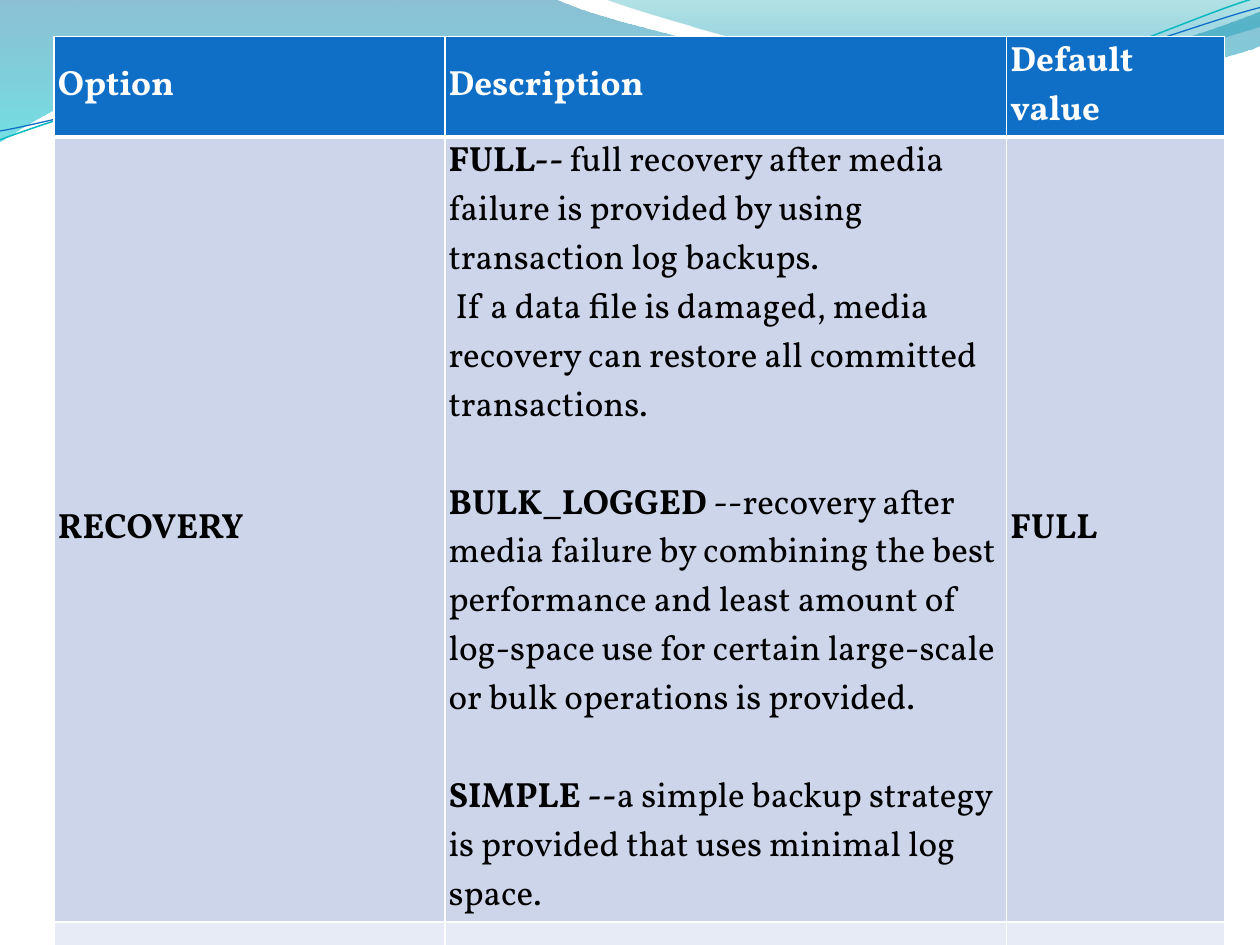
from lxml import etree
from pptx import Presentation
from pptx.dml.color import RGBColor
from pptx.enum.text import MSO_ANCHOR as Anchor
from pptx.oxml.ns import qn
from pptx.util import Inches, Pt

FONT = "Vollkorn"
BLUE, PALE, LIGHT = "0F6FC6", "CCD5EA", "E7EBF5"
WHITE, BLACK = "FFFFFF", "000000"

# Each outline is a list of parts: one point is a line, three are a curve.
BAND = [[(0, 0)], [(4.4, -0.01)],
        [(4.76, 0.17), (6.64, 0.63), (7.58, 0.63)],
        [(8.53, 0.63), (9.58, 0.26), (10, 0.09)], [(10.01, 0.36)],
        [(9.83, 0.44), (8.7, 0.76), (7.46, 0.75)],
        [(6.22, 0.75), (3.82, 0.28), (2.57, 0.34)],
        [(1.29, 0.36), (0.46, 0.83), (-0.01, 1.13)], [(0, 0)]]
CREST = [[(4.79, -0.01)], [(5.09, 0.11), (6.82, 0.62), (7.69, 0.65)],
         [(8.56, 0.69), (9.61, 0.32), (10, 0.21)], [(10, 0)], [(4.79, -0.01)]]
TEAL_LINE = [[(0, 1.11)], [(0.48, 0.93), (1.58, 0.57), (2.77, 0.52)],
             [(3.95, 0.47), (5.93, 0.89), (7.13, 0.8)],
             [(8.33, 0.71), (9.38, 0.15), (9.98, -0.02)]]
BLUE_LINE = [[(0, 1.04)], [(0.47, 0.96), (1.64, 0.61), (2.83, 0.56)],
             [(4.03, 0.51), (5.97, 0.84), (7.17, 0.75)],
             [(8.36, 0.67), (9.41, 0.21), (10, 0.06)]]

# A cell is a list of paragraphs: (space before, [(text, bold), ...]).
HEAD = [[(0, [(name, True)])] for name in ("Option", "Description", "Default value")]
MODES = [
    (0, [("FULL-- ", True),
         ("full recovery after media failure is provided by using "
          "transaction log backups.", False)]),
    (0, [(" If a data file is damaged, media recovery can restore all "
          "committed transactions.", False)]),
    (28, [("BULK_LOGGED", True),
          (" --recovery after media failure by combining the best performance "
           "and least amount of log-space use for certain large-scale or bulk "
           "operations is provided.", False)]),
    (28, [("SIMPLE --", True),
          ("a simple backup strategy is provided that uses minimal log space.",
           False)]),
]
BODY = [[(0, [("RECOVERY", True)])], MODES, [(0, [("FULL", True)])]]
# Row: height, fill, text colour, cells
ROWS = [(0.31, BLUE, WHITE, HEAD), (5.67, PALE, BLACK, BODY),
        (0.31, LIGHT, BLACK, [[], [], []])]
COLS = [3.1, 4.46, 1.73]
CELL = {"margin_left": Inches(0.03), "margin_right": Inches(0.03),
        "margin_top": Inches(0.01), "margin_bottom": Inches(0.01),
        "vertical_anchor": Anchor.MIDDLE}


def color(code):
    return RGBColor.from_string(code)


def assign(item, values):
    for name, value in values.items():
        setattr(item, name, value)


def bend(shape, outline):
    """Join each three straight segments of a curve into one cubic segment."""
    lines = iter(list(shape.element.iter(qn("a:lnTo"))))
    for part in outline[1:]:
        group = [next(lines) for _ in part]
        if len(part) == 3:
            curve = etree.Element(qn("a:cubicBezTo"))
            group[0].addprevious(curve)
            for line in group:
                curve.append(line[0])
                line.getparent().remove(line)


def draw(shapes, box, outline, closed):
    left, top = box
    points = [(Inches(left + x), Inches(top + y)) for part in outline for x, y in part]
    pen = shapes.build_freeform(*points[0])
    pen.add_line_segments(points[1:], close=closed)
    shape = pen.convert_to_shape()
    bend(shape, outline)
    shape.shadow.inherit = False
    return shape


def add_wave(shapes, box, outline, stops):
    """Stops are (position, colour, opacity in percent), from top to bottom."""
    shape = draw(shapes, box, outline, True)
    shape.line.fill.background()
    fill = shape.fill
    fill.gradient()
    fill.gradient_angle = 270
    for stop, (place, code, _) in zip(fill.gradient_stops, stops):
        stop.position = place
        stop.color.rgb = color(code)
    for tint, (*_, clear) in zip(shape.element.spPr.iter(qn("a:srgbClr")), stops):
        etree.SubElement(tint, qn("a:alpha"), val=str(clear * 1000))


def add_curve(shapes, box, outline, code, width):
    shape = draw(shapes, box, outline, False)
    shape.fill.background()
    shape.line.color.rgb = color(code)
    shape.line.width = Pt(width)


def add_banner(shapes, box):
    add_wave(shapes, box, BAND, [(0, "0074A1", 45), (1, "00C6CF", 55)])
    add_wave(shapes, box, CREST, [(0, "00A1A9", 30), (0.8, "008BBF", 45)])
    add_curve(shapes, box, TEAL_LINE, "0AB8BF", 0.85)
    add_curve(shapes, box, BLUE_LINE, BLUE, 0.75)


def set_edges(cell):
    props = cell._tc.get_or_add_tcPr()
    for side, width in (("L", 1), ("R", 1), ("T", 1), ("B", 3)):
        edge = etree.SubElement(props, qn(f"a:ln{side}"), w=str(Pt(width)))
        fill = etree.SubElement(edge, qn("a:solidFill"))
        etree.SubElement(fill, qn("a:srgbClr"), val=WHITE)


def write(frame, paras, ink):
    for i, (gap, runs) in enumerate(paras):
        para = frame.add_paragraph() if i else frame.paragraphs[0]
        if gap:
            para.space_before = Pt(gap)
        for text, bold in runs:
            run = para.add_run()
            run.text = text
            assign(run.font, {"name": FONT, "size": Pt(20), "bold": bold})
            run.font.color.rgb = color(ink)


def add_grid(shapes, box):
    frame = shapes.add_table(len(ROWS), len(COLS), *map(Inches, box))
    table = frame.table
    for col, width in zip(table.columns, COLS):
        col.width = Inches(width)
    for r, (height, back, ink, cells) in enumerate(ROWS):
        table.rows[r].height = Inches(height)
        for c, paras in enumerate(cells):
            cell = table.cell(r, c)
            assign(cell, CELL)
            if r == 0:
                set_edges(cell)
            cell.fill.solid()
            cell.fill.fore_color.rgb = color(back)
            write(cell.text_frame, paras, ink)
    frame.height = Inches(box[3])


def main():
    deck = Presentation()
    deck.slide_width, deck.slide_height = Inches(10), Inches(7.5)
    slide = deck.slides.add_slide(deck.slide_layouts[6])
    add_banner(slide.shapes, (0, 0))
    add_grid(slide.shapes, (0.43, 0.29, sum(COLS), 6.77))
    deck.save("out.pptx")


if __name__ == "__main__":
    main()
